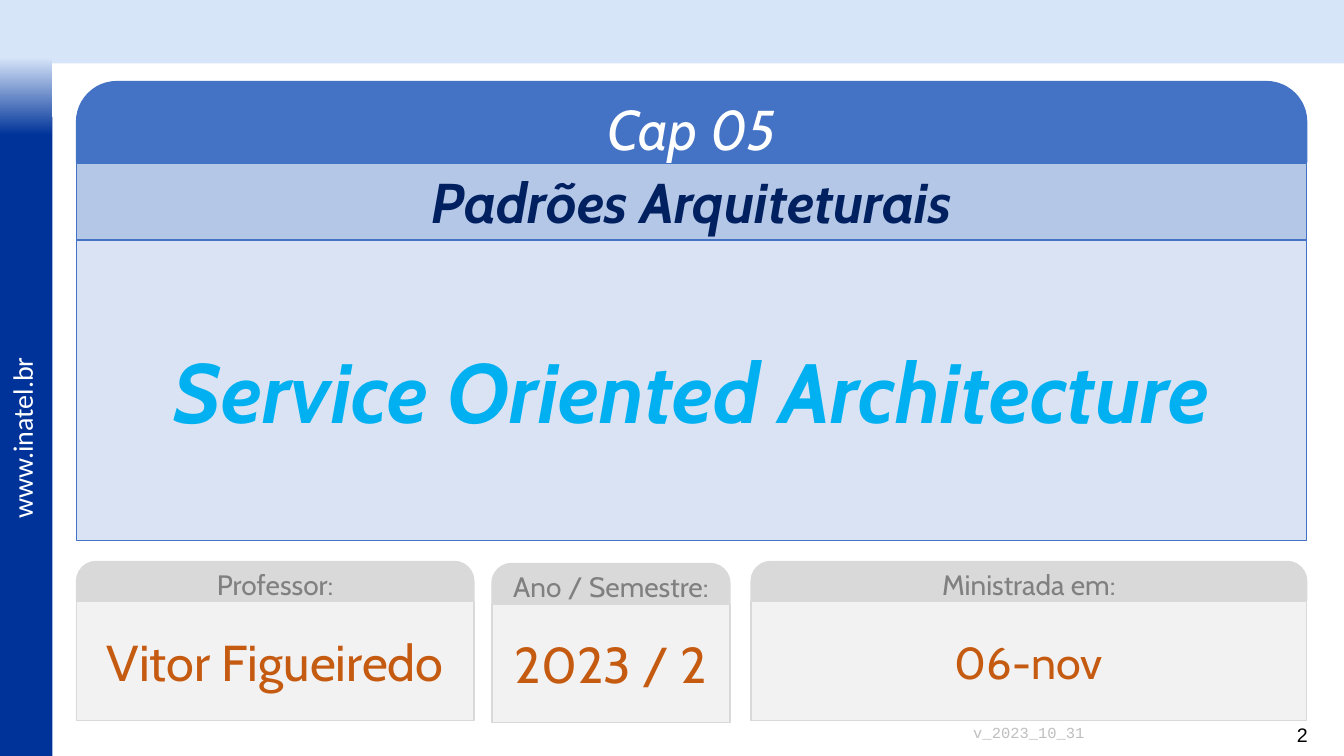
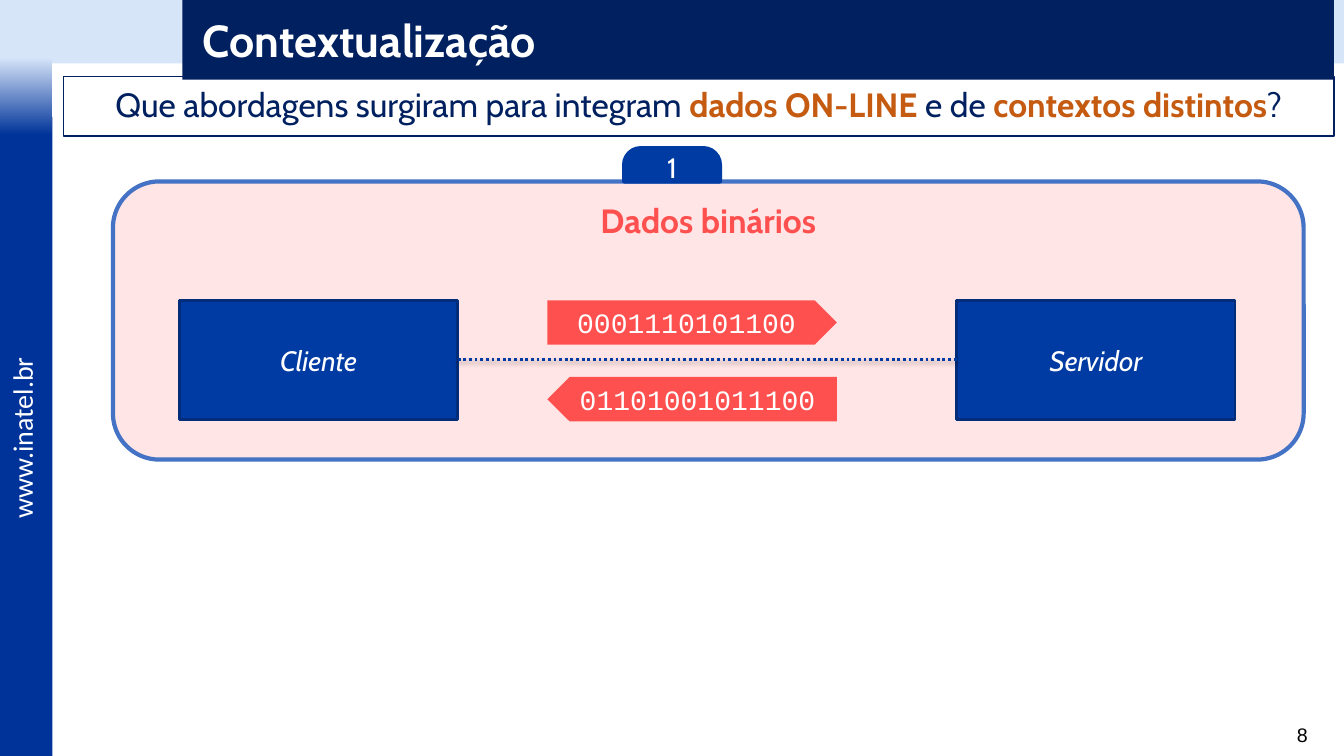
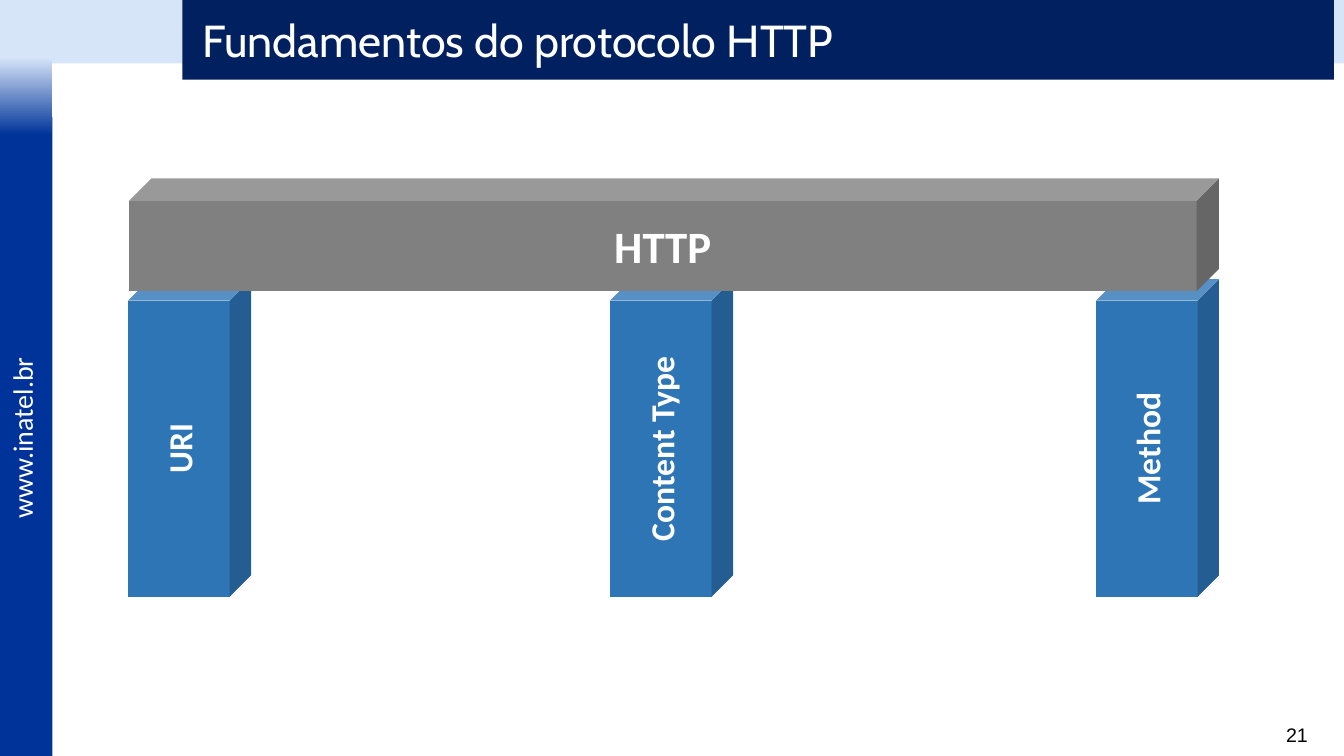
import pptx
import pptx.dml.color
import pptx.enum.dml
import pptx.enum.shapes
import pptx.enum.text
import pptx.oxml
import pptx.oxml.ns
import pptx.util
from lxml import etree

Inches = pptx.util.Inches
Pt = pptx.util.Pt
RGBColor = pptx.dml.color.RGBColor
SHAPE = pptx.enum.shapes.MSO_SHAPE
ALIGN = pptx.enum.text.PP_ALIGN
ANCHOR = pptx.enum.text.MSO_ANCHOR
qn = pptx.oxml.ns.qn

WHITE = RGBColor(0xFF, 0xFF, 0xFF)
BLACK = RGBColor(0x00, 0x00, 0x00)
SKY = RGBColor(0xD7, 0xE5, 0xF9)
SIDE_BLUE = RGBColor(0x00, 0x33, 0x99)
NAVY = RGBColor(0x00, 0x20, 0x60)
BLUE = RGBColor(0x44, 0x72, 0xC4)
BLUE_MID = RGBColor(0xB4, 0xC7, 0xE7)
BLUE_PALE = RGBColor(0xDA, 0xE3, 0xF3)
CYAN = RGBColor(0x00, 0xB0, 0xF0)
NODE_BLUE = RGBColor(0x00, 0x3B, 0xA3)
NODE_EDGE = RGBColor(0x00, 0x2C, 0x79)
PILLAR_BLUE = RGBColor(0x2E, 0x75, 0xB6)
ORANGE = RGBColor(0xC5, 0x5A, 0x11)
RED = RGBColor(0xFF, 0x00, 0x00)
CORAL = RGBColor(0xFF, 0x50, 0x50)
GRAY = RGBColor(0x80, 0x80, 0x80)
GRAY_SOFT = RGBColor(0xBF, 0xBF, 0xBF)
GRAY_LIGHT = RGBColor(0xD9, 0xD9, 0xD9)
GRAY_PALE = RGBColor(0xF2, 0xF2, 0xF2)

HEADING_FONT = "Cabin"
LABEL_FONT = "Calibri"
MONO_FONT = "Courier New"
NUMBER_FONT = "Arial"

LINE_SHADOW = (
    '<a:effectLst xmlns:a="http://schemas.openxmlformats.org/drawingml/2006/main">'
    '<a:outerShdw blurRad="39370" dist="20320" dir="5400000" rotWithShape="0">'
    '<a:srgbClr val="000000"><a:alpha val="38000"/></a:srgbClr>'
    '</a:outerShdw></a:effectLst>')


class Deck:
    def __init__(self):
        self.prs = pptx.Presentation()
        self.prs.slide_width = Inches(13.33)
        self.prs.slide_height = Inches(7.5)
        self.s = None

    def new_slide(self, number):
        self.s = self.prs.slides.add_slide(self.prs.slide_layouts[5])
        self.shape(SHAPE.RECTANGLE, (0, 0, 13.33, 0.63), SKY)
        self.shape(SHAPE.RECTANGLE, (0, 1.16, 0.52, 6.34), SIDE_BLUE)
        fade = self.shape(SHAPE.RECTANGLE, (0, 0.57, 0.52, 0.77), SKY)
        fade.fill.gradient()
        fade.fill.gradient_angle = 270
        for stop, color in zip(fade.fill.gradient_stops, (SKY, SIDE_BLUE)):
            stop.color.rgb = color
        site = self.text_box((-0.72, 4.09, 1.87, 0.43), "www.inatel.br", 20, WHITE,
                             font=LABEL_FONT, align=ALIGN.LEFT)
        site.rotation = 270
        self.text_box((12.42, 7.12, 0.65, 0.34), str(number), 14, BLACK,
                      font=NUMBER_FONT, align=ALIGN.RIGHT)

    def set_text(self, sp, content, size, color, font=HEADING_FONT, bold=False, italic=False,
                 align=ALIGN.CENTER, anchor=ANCHOR.MIDDLE, spacing=None):
        """Fill a shape with one paragraph; content is a string or (text, color, bold) runs."""
        tf = sp.text_frame
        tf.word_wrap = True
        tf.auto_size = pptx.enum.text.MSO_AUTO_SIZE.NONE
        tf.vertical_anchor = anchor
        p = tf.paragraphs[0]
        p.alignment = align
        if spacing:
            p.line_spacing = spacing
        runs = [(content, color, bold)] if isinstance(content, str) else content
        for text, run_color, run_bold in runs:
            r = p.add_run()
            r.text = text
            r.font.name = font
            r.font.size = Pt(size)
            r.font.bold = run_bold
            r.font.italic = italic
            r.font.color.rgb = run_color

    def paint(self, sp, fill, line=None, width=1, opacity=None):
        sp.fill.solid()
        sp.fill.fore_color.rgb = fill
        if opacity is not None:
            color = sp.element.spPr.find(qn("a:solidFill"))[0]
            etree.SubElement(color, qn("a:alpha")).set("val", str(opacity * 1000))
        if line is None:
            sp.line.fill.background()
        else:
            sp.line.color.rgb = line
            sp.line.width = Pt(width)

    def shape(self, kind, box, fill, line=None, width=1, opacity=None, adj=()):
        sp = self.s.shapes.add_shape(kind, *map(Inches, box))
        sp.shadow.inherit = False
        for i, value in enumerate(adj):
            sp.adjustments[i] = value
        self.paint(sp, fill, line, width, opacity)
        return sp

    def text_box(self, box, content, size, color, **style):
        sp = self.s.shapes.add_textbox(*map(Inches, box))
        style.setdefault("anchor", ANCHOR.TOP)
        self.set_text(sp, content, size, color, **style)
        return sp

    def title(self, box, preset, adj, text, size, color, fill, line=None, **style):
        """Give the title placeholder an outline and bring it to the front."""
        sp = self.s.shapes.title
        sp.left, sp.top, sp.width, sp.height = map(Inches, box)
        geom = etree.Element(qn("a:prstGeom"), prst=preset)
        guides = etree.SubElement(geom, qn("a:avLst"))
        for name, value in adj.items():
            etree.SubElement(guides, qn("a:gd"), name=name, fmla=f"val {value}")
        sp.element.spPr.find(qn("a:xfrm")).addnext(geom)
        self.paint(sp, fill, line)
        self.set_text(sp, text, size, color, **style)
        sp.element.getparent().append(sp.element)
        return sp

    def title_band(self, text, bold=False):
        sp = self.title((1.81, 0, 11.42, 0.79), "round2DiagRect", {"adj1": 50000, "adj2": 0},
                        text, 32, WHITE, NAVY, bold=bold, align=ALIGN.LEFT)
        sp.text_frame.margin_left = Inches(0.2)

    def tab(self, box, text, size, color, fill, line, rounding=0.5, width=1, **style):
        """Box whose two upper corners are rounded."""
        sp = self.shape(SHAPE.ROUND_2_SAME_RECTANGLE, box, fill, line, width,
                        adj=(rounding, 0))
        self.set_text(sp, text, size, color, **style)

    def card(self, left, top, width, label, value, size):
        self.tab((left, top, width, 0.39), label, 20, GRAY, GRAY_LIGHT, GRAY_LIGHT)
        self.tab((left, top + 0.4, width, 1.18), value, size, ORANGE, GRAY_PALE, GRAY_LIGHT,
                 rounding=0)

    def node(self, left, text):
        sp = self.shape(SHAPE.RECTANGLE, (left, 2.98, 2.76, 1.18), NODE_BLUE, NODE_EDGE, 2)
        self.set_text(sp, text, 20, WHITE, italic=True)

    def message(self, top, text, flip=False):
        sp = self.shape(SHAPE.PENTAGON, (5.43, top, 2.87, 0.44), CORAL)
        if flip:
            sp.element.spPr.find(qn("a:xfrm")).set("flipH", "1")
        self.set_text(sp, text, 20, WHITE, font=MONO_FONT)

    def dotted_line(self, x1, x2, y):
        line = self.s.shapes.add_connector(pptx.enum.shapes.MSO_CONNECTOR.STRAIGHT,
                                           *map(Inches, (x1, y, x2, y)))
        line.line.color.rgb = NODE_BLUE
        line.line.width = Pt(2)
        line.line.dash_style = pptx.enum.dml.MSO_LINE.ROUND_DOT
        line.element.spPr.append(pptx.oxml.parse_xml(LINE_SHADOW))

    def block(self, box, depth, text, size, fill, upright=False):
        sp = self.shape(SHAPE.CUBE, box, fill, adj=(depth,))
        self.set_text(sp, text, size, WHITE, font=LABEL_FONT, bold=True)
        if upright:
            sp.element.txBody.find(qn("a:bodyPr")).set("vert", "vert270")


def cover(deck):
    deck.new_slide(2)
    left, width = 0.76, 12.2
    deck.title((left, 2.38, width, 2.98), "roundRect", {"adj": 0},
               "Service Oriented Architecture", 60, CYAN, BLUE_PALE, BLUE,
               bold=True, italic=True)
    deck.tab((left, 0.81, width, 0.8), "Cap 05", 40, WHITE, BLUE, BLUE, italic=True)
    deck.card(left, 5.57, 3.94, "Professor:", "Vitor Figueiredo", 36)
    deck.card(4.88, 5.59, 2.36, "Ano / Semestre:", "2023 / 2", 36)
    deck.card(7.45, 5.57, 5.51, "Ministrada em:", "06-nov", 32)
    deck.text_box((7.45, 7.16, 5.51, 0.24), "v_2023_10_31", 11, GRAY_SOFT,
                  font=MONO_FONT, anchor=ANCHOR.MIDDLE, spacing=0.9)
    deck.tab((left, 1.62, width, 0.76), "Padrões Arquiteturais", 40, NAVY, BLUE_MID, BLUE,
             rounding=0, bold=True, italic=True)


def context(deck):
    deck.new_slide(8)
    question = deck.shape(SHAPE.RECTANGLE, (0.63, 0.76, 12.6, 0.59), WHITE, NAVY, opacity=10)
    deck.set_text(question, [("Que abordagens surgiram para integram ", NAVY, False),
                             ("dados ON-LINE", ORANGE, True),
                             (" e de ", NAVY, False),
                             ("contextos distintos", ORANGE, True),
                             ("?", NAVY, False)], 24, NAVY, spacing=0.9)
    deck.title_band("Contextualização", bold=True)
    panel = deck.shape(SHAPE.ROUNDED_RECTANGLE, (1.12, 1.8, 11.81, 2.76), RED, BLUE, 3,
                       opacity=10)
    deck.set_text(panel, "Dados binários", 24, CORAL, bold=True, anchor=ANCHOR.TOP)
    deck.message(2.98, "0001110101100")
    deck.message(3.74, "01101001011100", flip=True)
    deck.node(1.78, "Cliente")
    deck.node(9.49, "Servidor")
    deck.dotted_line(4.54, 9.49, 3.57)
    deck.tab((6.19, 1.47, 0.95, 0.33), "1", 20, WHITE, NODE_BLUE, NODE_BLUE, width=3)


def http_basics(deck):
    deck.new_slide(21)
    for left, text in ((1.27, "URI"), (10.87, "Method"), (6.05, "Content Type")):
        deck.block((left, 2.77, 1.22, 3.15), 0.174, text, 24, PILLAR_BLUE, upright=True)
    deck.block((1.28, 1.77, 10.81, 1.12), 0.198, "HTTP", 32, GRAY)
    deck.title_band("Fundamentos do protocolo HTTP")


def main():
    deck = Deck()
    cover(deck)
    context(deck)
    http_basics(deck)
    deck.prs.save("out.pptx")


if __name__ == "__main__":
    main()
